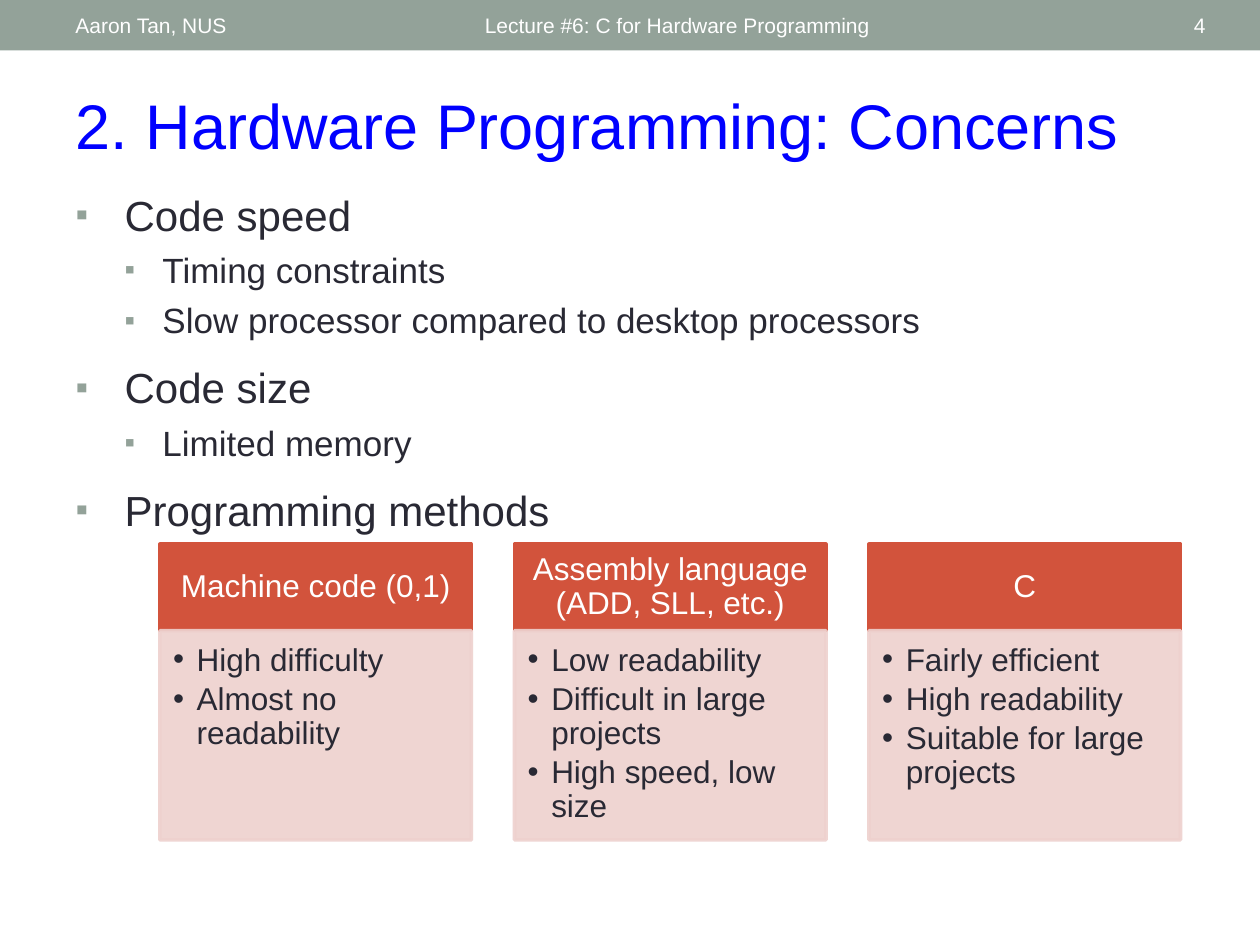
from lxml.etree import SubElement
from pptx import Presentation
from pptx.dml.color import RGBColor
from pptx.enum.shapes import MSO_SHAPE
from pptx.enum.text import MSO_ANCHOR, MSO_AUTO_SIZE, PP_ALIGN
from pptx.oxml.ns import qn
from pptx.util import Pt


def hue(code):
    return RGBColor.from_string(code)


def write(frame, text, size=18, color="292934", align=PP_ALIGN.LEFT, level=0,
          before=0, after=0, line=1.0, left=0, hang=0, bullet=None, tint=None, scale=100):
    para = frame.paragraphs[0]
    if para.text:
        para = frame.add_paragraph()
    para.level = level
    para.alignment = align
    para.line_spacing = line
    para.space_before, para.space_after = Pt(before), Pt(after)
    run = para.add_run()
    run.text = text
    run.font.name, run.font.size = "Arial", Pt(size)
    run.font.color.rgb = hue(color)
    if bullet:
        props = para._p.get_or_add_pPr()
        props.set("marL", str(Pt(left)))
        props.set("indent", str(-Pt(hang)))
        if tint:
            SubElement(SubElement(props, qn("a:buClr")), qn("a:srgbClr"), val=tint)
        SubElement(props, qn("a:buSzPct"), val=str(scale * 1000))
        SubElement(props, qn("a:buFont"), typeface="Arial")
        SubElement(props, qn("a:buChar"), char=bullet)


deck = Presentation()
deck.slide_width, deck.slide_height = Pt(720), Pt(540)
slide = deck.slides.add_slide(deck.slide_layouts[1])
shapes = slide.shapes

bar = shapes.add_shape(MSO_SHAPE.RECTANGLE, 0, 0, Pt(720), Pt(28.8))
bar.shadow.inherit = False
bar.fill.solid()
bar.fill.fore_color.rgb = hue("93A299")
bar.line.fill.background()

heads = [
    ("Lecture #6: C for Hardware Programming", 270, 324, PP_ALIGN.LEFT),
    ("Aaron Tan, NUS", 36, 228, PP_ALIGN.LEFT),
    ("4", 628, 68, PP_ALIGN.RIGHT),
]
for text, left, width, align in heads:
    box = shapes.add_textbox(Pt(left), Pt(1.44), Pt(width), Pt(26))
    box.text_frame.word_wrap = True
    box.text_frame.vertical_anchor = MSO_ANCHOR.MIDDLE
    write(box.text_frame, text, size=12, color="FFFFFF", align=align)

title, body = shapes.title, slide.placeholders[1]
for holder, top, height in [(title, 46, 51), (body, 104.4, 409.6)]:
    holder.left, holder.top = Pt(36), Pt(top)
    holder.width, holder.height = Pt(648), Pt(height)
    holder.text_frame.auto_size = MSO_AUTO_SIZE.NONE
    holder.text_frame.vertical_anchor = MSO_ANCHOR.TOP
write(title.text_frame, "2. Hardware Programming: Concerns", size=36, color="0000FF")

points = [
    ("Code speed", 0, 5),
    ("Timing constraints", 1, 5),
    ("Slow processor compared to desktop processors", 1, 5),
    ("Code size", 0, 12),
    ("Limited memory", 1, 5),
    ("Programming methods", 0, 12),
]
for text, level, before in points:
    size, left, hang = [(24, 28, 28), (20, 49.6, 21.6)][level]
    write(body.text_frame, text, size=size, level=level, before=before,
          left=left, hang=hang, bullet="▪", tint="93A299", scale=85)

cards = [
    ("Machine code (0,1)", ["High difficulty", "Almost no readability"]),
    ("Assembly language (ADD, SLL, etc.)",
     ["Low readability", "Difficult in large projects", "High speed, low size"]),
    ("C", ["Fairly efficient", "High readability", "Suitable for large projects"]),
]
parts = [
    (311, 49.4, "D2533C", 100, MSO_ANCHOR.MIDDLE, (10, 5.8, 10, 5.8)),
    (360.4, 119.6, "EED1CE", 90, MSO_ANCHOR.TOP, (7.5, 7.5, 10, 11.5)),
]
for col, (name, traits) in enumerate(cards):
    frames = []
    for top, height, color, alpha, anchor, inset in parts:
        card = shapes.add_shape(MSO_SHAPE.RECTANGLE, Pt(91.4 + col * 202.6),
                                Pt(top), Pt(178), Pt(height))
        card.shadow.inherit = False
        card.line.width = Pt(2.08)
        card.fill.solid()
        for fill in (card.fill, card.line.fill):
            fill.solid()
            fill.fore_color.rgb = hue(color)
        if alpha < 100:
            for tone in card._element.spPr.iter(qn("a:srgbClr")):
                SubElement(tone, qn("a:alpha"), val=str(alpha * 1000))
        frame = card.text_frame
        frame.word_wrap = True
        frame.vertical_anchor = anchor
        frame.margin_left, frame.margin_top, frame.margin_right, frame.margin_bottom = map(Pt, inset)
        frames.append(frame)
    write(frames[0], name, color="FFFFFF", align=PP_ALIGN.CENTER, line=0.9)
    for trait in traits:
        write(frames[1], trait, level=1, line=0.9, after=3, left=13.5, hang=13.5, bullet="•")

deck.save("out.pptx")
